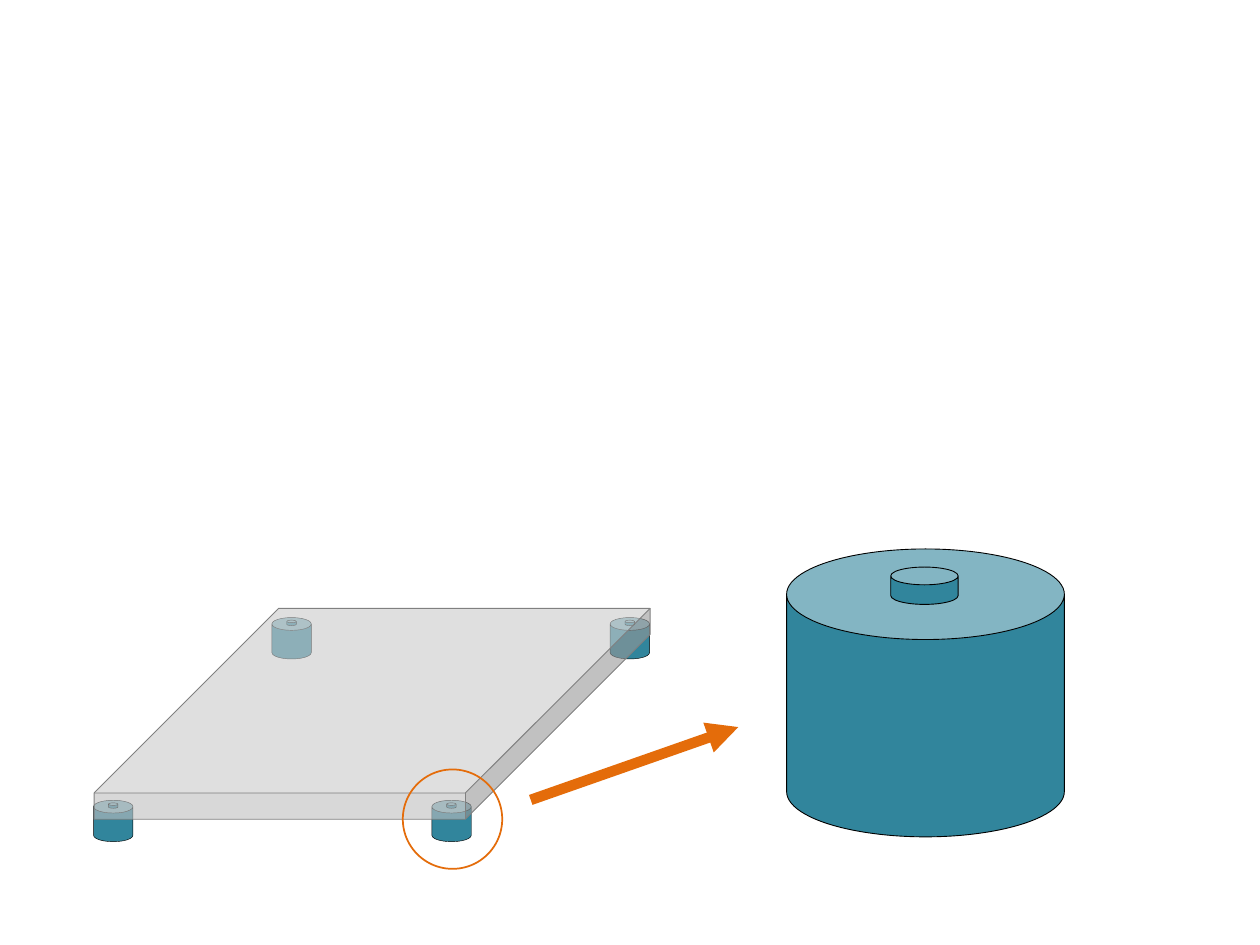
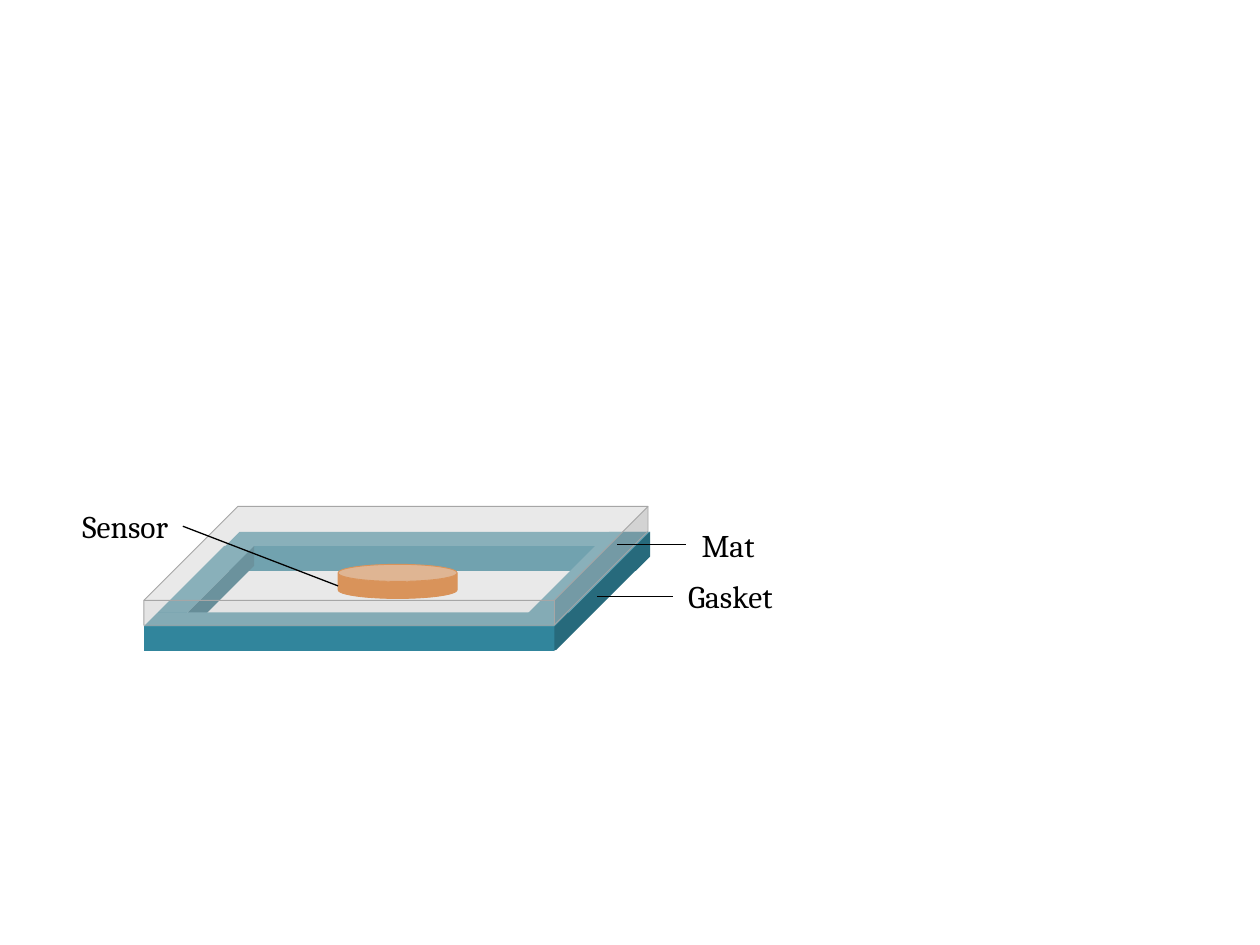
from pptx import Presentation
from pptx.dml.color import RGBColor
from pptx.enum.shapes import MSO_CONNECTOR, MSO_SHAPE
from pptx.enum.text import MSO_AUTO_SIZE
from pptx.oxml.ns import qn
from pptx.oxml.xmlchemy import OxmlElement
from pptx.util import Pt

COLORS = {
    "teal": "31859C",
    "orange": "E46C0A",
    "mat": "BFBFBF",
    "plate_edge": "808080",
    "mat_edge": "A6A6A6",
    "ink": "000000",
}
FONT = "Cambria"
LABEL_SIZE = 18

MOUNT_SIZE = (22.5, 23.7)
MOUNT_SPACING = 193.3
MOUNT_ROWS = [(155.4, 352.9), (53.5, 457.3)]
ENLARGED_MOUNT = (449.5, 313.7, 158.7, 164.5)
PIN_SHARE = (0.375, 0.063, 0.243, 0.13)
MOUNT_LID, PIN_LID = 0.326, 0.475

PLATE = (53.8, 347.6, 317.7, 120.5)
HIGHLIGHT = (230.2, 439.7, 56.8, 56.8)
ZOOM_ARROW = ((303.3, 457.1), (421.9, 415.5))

GASKET_BAR = (242.6, 22.2)
GASKET_BACK = (128.9, 303.9, *GASKET_BAR)
GASKET_FRONT = (82.2, 349.9, *GASKET_BAR)
GASKET_RIGHT = (294.7, 303.9, 76.5, 67.6)
GASKET_LEFT = (90.2, 311.9, 55, 49.5)
SENSOR = (193.2, 322.5, 68, 19.5)
MAT = (82.2, 289.4, 288.1, 67.9)

LABELS = [
    ("Mat", (393.8, 296.9, 44.6, 29.1), ((352.6, 311.2), (391.8, 311.2))),
    ("Sensor", (40, 286.1, 64.2, 29.1), ((104.5, 300.7), (193.2, 334.8))),
    ("Gasket", (386.2, 326.4, 65, 29.1), ((341.3, 340.7), (384.4, 340.7))),
]


def rgb(name):
    return RGBColor.from_string(COLORS[name])


def add_solid(shapes, kind, box, fill=None, depth=None, edge=None, edge_width=0.5, opacity=None):
    solid = shapes.add_shape(kind, *map(Pt, box))
    solid.shadow.inherit = False
    if depth is not None:
        solid.adjustments[0] = depth
    if fill:
        solid.fill.solid()
        solid.fill.fore_color.rgb = rgb(fill)
    else:
        solid.fill.background()
    if opacity:
        alpha = OxmlElement("a:alpha")
        alpha.set("val", str(opacity * 1000))
        solid._element.spPr.find(qn("a:solidFill")).find(qn("a:srgbClr")).append(alpha)
    if edge:
        solid.line.color.rgb = rgb(edge)
        solid.line.width = Pt(edge_width)
    else:
        solid.line.fill.background()


def add_line(slide, ends, color, width, arrow=False):
    start, end = ends
    line = slide.shapes.add_connector(MSO_CONNECTOR.STRAIGHT, *map(Pt, start + end))
    line.line.color.rgb = rgb(color)
    line.line.width = Pt(width)
    if arrow:
        head = OxmlElement("a:tailEnd")
        head.set("type", "triangle")
        line.line._get_or_add_ln().append(head)
    line._element.spPr.append(OxmlElement("a:effectLst"))


def add_mount(slide, box, edge_width):
    left, top, width, height = box
    x, y, w, h = PIN_SHARE
    pin = (left + x * width, top + y * height, w * width, h * height)
    parts = slide.shapes.add_group_shape().shapes
    for part, lid in ((box, MOUNT_LID), (pin, PIN_LID)):
        add_solid(parts, MSO_SHAPE.CAN, part, "teal", lid, "ink", edge_width)


def add_label(slide, text, box):
    label = slide.shapes.add_textbox(*map(Pt, box))
    frame = label.text_frame
    frame.text = text
    frame.word_wrap = False
    frame.auto_size = MSO_AUTO_SIZE.SHAPE_TO_FIT_TEXT
    font = frame.paragraphs[0].runs[0].font
    font.name = FONT
    font.size = Pt(LABEL_SIZE)
    font.color.rgb = rgb("ink")


def build_mounted_plate(slide):
    for left, top in MOUNT_ROWS:
        for column in range(2):
            add_mount(slide, (left + column * MOUNT_SPACING, top, *MOUNT_SIZE), 0.25)
    add_mount(slide, ENLARGED_MOUNT, 0.5)
    add_solid(slide.shapes, MSO_SHAPE.CUBE, PLATE, "mat", 0.876, "plate_edge", opacity=60)
    add_line(slide, ZOOM_ARROW, "orange", 6, arrow=True)
    add_solid(slide.shapes, MSO_SHAPE.OVAL, HIGHLIGHT, edge="orange", edge_width=1)


def build_gasket_mat(slide):
    shapes = slide.shapes
    add_solid(shapes, MSO_SHAPE.CUBE, GASKET_BACK, "teal", 0.362)
    add_solid(shapes, MSO_SHAPE.CAN, SENSOR, "orange", 0.5, "orange")
    for side, depth in ((GASKET_RIGHT, 0.791), (GASKET_LEFT, 0.769), (GASKET_FRONT, 0.362)):
        add_solid(shapes, MSO_SHAPE.CUBE, side, "teal", depth)
    add_solid(shapes, MSO_SHAPE.CUBE, MAT, "mat", 0.791, "mat_edge", opacity=42)
    for text, box, leader in LABELS:
        add_label(slide, text, box)
        add_line(slide, leader, "ink", 0.75)


def main():
    deck = Presentation()
    deck.slide_width, deck.slide_height = Pt(720), Pt(540)
    blank = deck.slide_layouts[6]
    for build in (build_mounted_plate, build_gasket_mat):
        build(deck.slides.add_slide(blank))
    deck.save("out.pptx")


if __name__ == "__main__":
    main()
